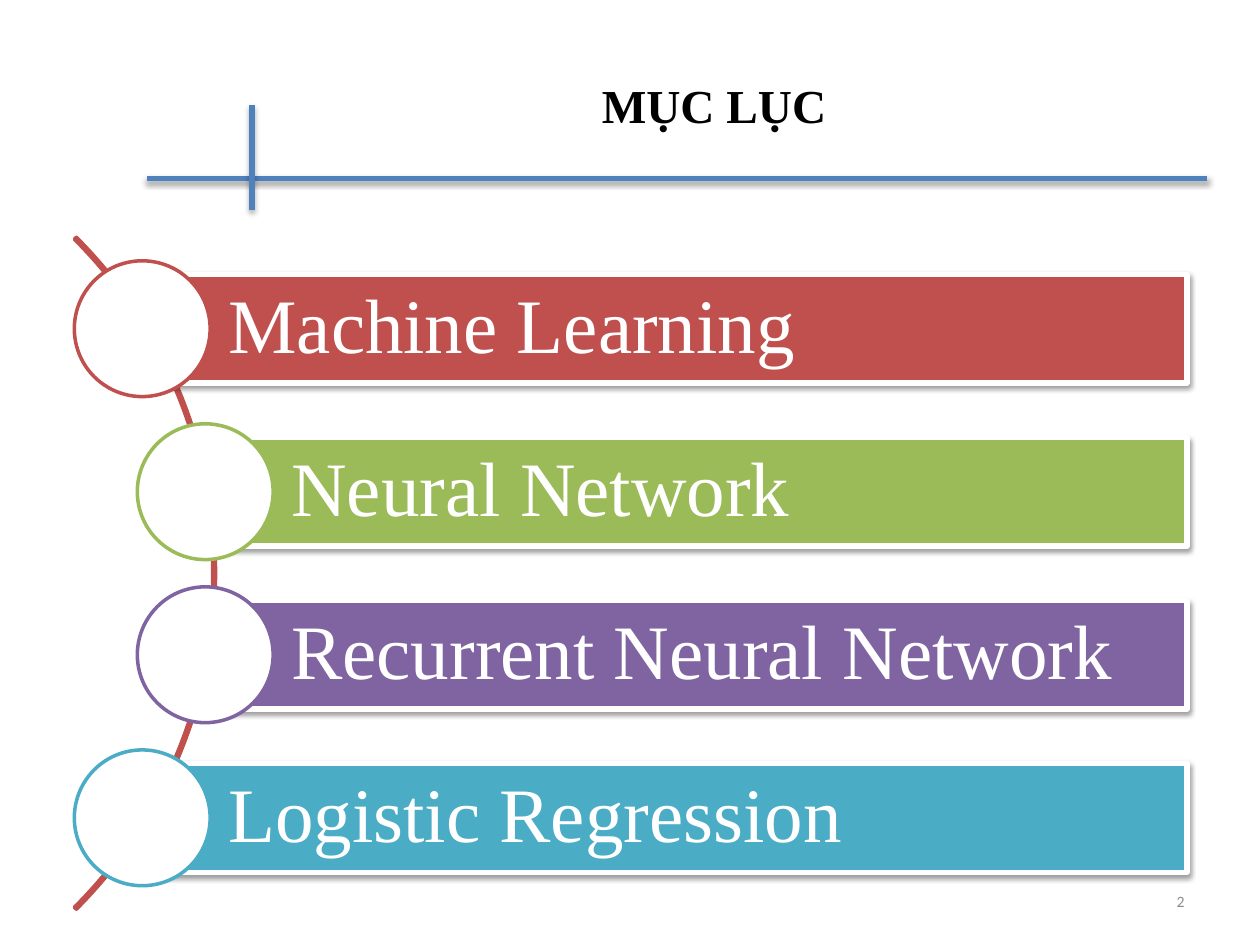
from lxml import etree
from pptx import Presentation
from pptx.dml.color import RGBColor
from pptx.enum.shapes import MSO_CONNECTOR, MSO_SHAPE
from pptx.enum.text import MSO_ANCHOR, PP_ALIGN
from pptx.oxml.ns import qn
from pptx.util import Pt

STRAIGHT = MSO_CONNECTOR.STRAIGHT
ARC, BAR, CIRCLE = MSO_SHAPE.BLOCK_ARC, MSO_SHAPE.RECTANGLE, MSO_SHAPE.OVAL
MIDDLE = MSO_ANCHOR.MIDDLE
LEFT, CENTER, RIGHT = PP_ALIGN.LEFT, PP_ALIGN.CENTER, PP_ALIGN.RIGHT

COLORS = {
    "white": "FFFFFF", "black": "000000", "gray": "8C8C8C", "blue": "4F81BD",
    "red": "C0504D", "green": "9BBB59", "purple": "8064A2", "teal": "4BACC6",
}
TOPICS = [
    ("Machine Learning", "red", 0),
    ("Neural Network", "green", 36),
    ("Recurrent Neural Network", "purple", 36),
    ("Logistic Regression", "teal", 0),
]


def color(name):
    """Return the named palette colour."""
    return RGBColor.from_string(COLORS[name])


def write_text(shape, text, size, fill, font="Times New Roman", bold=False,
               align=LEFT, insets=(7.2, 3.6, 7.2, 3.6), spacing=None):
    """Fill a shape with one formatted, vertically centred paragraph."""
    frame = shape.text_frame
    frame.word_wrap = True
    frame.vertical_anchor = MIDDLE
    (frame.margin_left, frame.margin_top,
     frame.margin_right, frame.margin_bottom) = map(Pt, insets)
    paragraph = frame.paragraphs[0]
    paragraph.alignment = align
    if spacing:
        paragraph.line_spacing = spacing
    run = paragraph.add_run()
    run.text = text
    run.font.name = font
    run.font.size = Pt(size)
    run.font.bold = bold
    run.font.color.rgb = color(fill)


def add_shadow(shape, opacity, distance):
    """Give a shape or connector a soft shadow straight below it."""
    properties = shape._element.spPr
    effects = etree.SubElement(properties, qn("a:effectLst"))
    shadow = etree.SubElement(
        effects, qn("a:outerShdw"), blurRad=str(Pt(3.15)), dist=str(Pt(distance)),
        dir="5400000", rotWithShape="0")
    tint = etree.SubElement(shadow, qn("a:srgbClr"), val=COLORS["black"])
    etree.SubElement(tint, qn("a:alpha"), val=str(opacity * 1000))


def add_outlined(slide, kind, box, line, width, fill=None):
    """Add a preset shape with an outline and an optional fill."""
    shape = slide.shapes.add_shape(kind, *map(Pt, box))
    if fill:
        shape.fill.solid()
        shape.fill.fore_color.rgb = color(fill)
    else:
        shape.fill.background()
    shape.line.color.rgb = color(line)
    shape.line.width = Pt(width)
    return shape


def add_rule(slide, start, end):
    """Add one blue rule with a shadow."""
    rule = slide.shapes.add_connector(STRAIGHT, *map(Pt, (*start, *end)))
    rule.line.color.rgb = color("blue")
    rule.line.width = Pt(3)
    add_shadow(rule, 35, 1.8)


def add_header(slide, left, top, width, height):
    """Place the title and the crossed rules below it."""
    rule_y = top + height - 3
    cross_x = left + 60
    add_rule(slide, (left, rule_y), (left + 606, rule_y))
    add_rule(slide, (cross_x, rule_y - 42), (cross_x, rule_y + 18))
    title = slide.shapes.title
    title.left, title.top, title.width, title.height = map(
        Pt, (left, top, width, height))
    write_text(title, "MỤC LỤC", 27, "black", bold=True, align=CENTER)


def add_topic(slide, left, top, width, height, text, accent):
    """Place a topic bar with a circle centred on its left end."""
    bar = add_outlined(slide, BAR, (left, top, width, height), "white", 3, accent)
    add_shadow(bar, 38, 1.6)
    write_text(bar, text, 44, "white", insets=(49.2, 8.8, 8.8, 8.8), spacing=0.9)
    diameter = height * 1.25
    circle_box = (left - diameter / 2, top + (height - diameter) / 2,
                  diameter, diameter)
    circle = add_outlined(slide, CIRCLE, circle_box, accent, 2, "white")
    circle.shadow.inherit = False


def add_topic_list(slide, left, top, width, height):
    """Place the arc and the evenly spaced topics along it."""
    diameter = 543
    arc_box = (123.2 - diameter, top + (height - diameter) / 2, diameter, diameter)
    arc = add_outlined(slide, ARC, arc_box, "red", 2)
    arc.shadow.inherit = False
    for index, value in enumerate((189, 27, 0.003)):
        arc.adjustments[index] = value
    bar_height = 62.1
    pitch = (height - bar_height) / (len(TOPICS) - 1)
    for index, (text, accent, indent) in enumerate(TOPICS):
        add_topic(slide, left + indent, top + index * pitch, width - indent,
                  bar_height, text, accent)


def add_page_number(slide, left, top, width, height):
    """Place the page number."""
    box = slide.shapes.add_textbox(*map(Pt, (left, top, width, height)))
    write_text(box, "2", 9, "gray", font="Calibri", align=RIGHT)


def main():
    """Build and save the contents slide."""
    presentation = Presentation()
    presentation.slide_width, presentation.slide_height = Pt(720), Pt(540)
    slide = presentation.slides.add_slide(presentation.slide_layouts[5])
    add_header(slide, 84, 15, 648, 90)
    add_topic_list(slide, 81.3, 156.8, 597, 341.6)
    add_page_number(slide, 516, 500.5, 168, 28.8)
    presentation.save("out.pptx")


if __name__ == "__main__":
    main()
